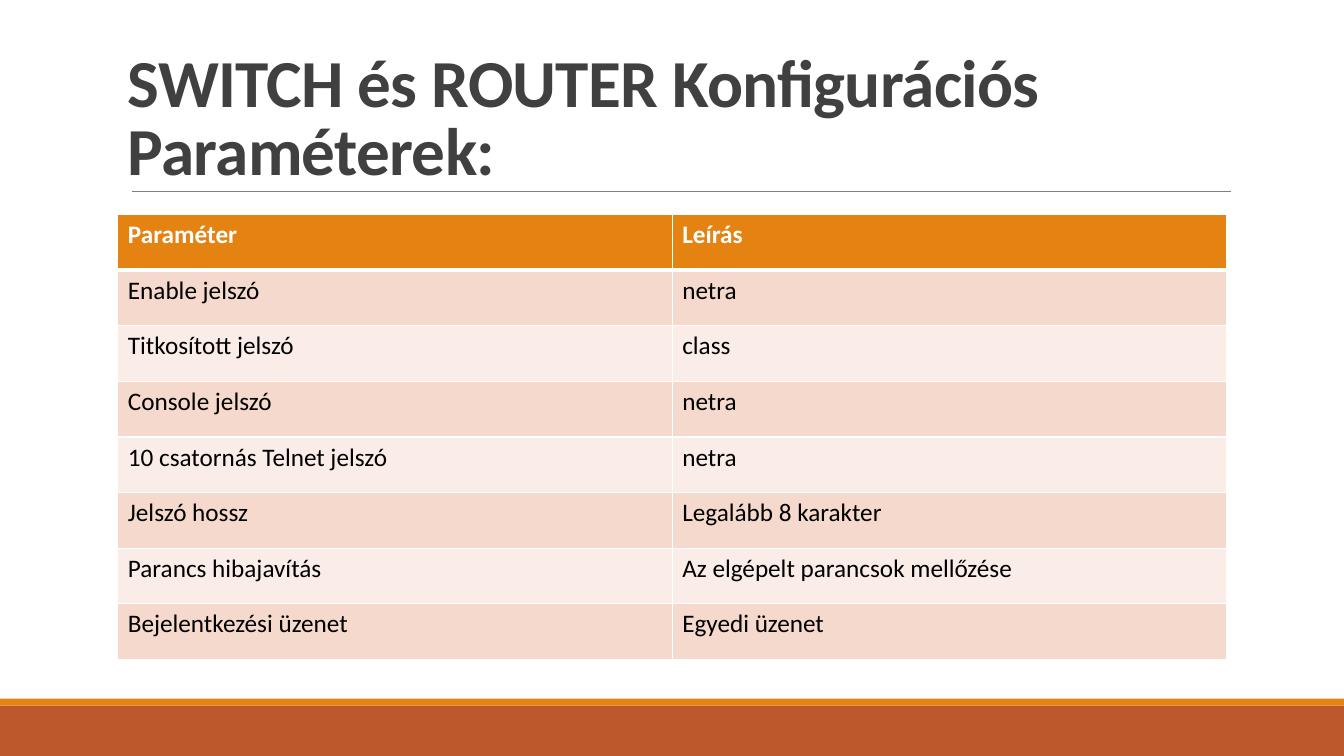
from lxml import etree
from pptx import Presentation
from pptx.dml.color import RGBColor
from pptx.enum.shapes import MSO_CONNECTOR, MSO_SHAPE
from pptx.enum.text import MSO_ANCHOR
from pptx.oxml.ns import qn
from pptx.util import Pt

RECT = MSO_SHAPE.RECTANGLE
STRAIGHT = MSO_CONNECTOR.STRAIGHT
BOTTOM = MSO_ANCHOR.BOTTOM

ROWS = [
    ("Paraméter", "Leírás"),
    ("Enable jelszó", "netra"),
    ("Titkosított jelszó", "class"),
    ("Console jelszó", "netra"),
    ("10 csatornás Telnet jelszó", "netra"),
    ("Jelszó hossz", "Legalább 8 karakter"),
    ("Parancs hibajavítás", "Az elgépelt parancsok mellőzése"),
    ("Bejelentkezési üzenet", "Egyedi üzenet"),
]


def rgb(value):
    return RGBColor.from_string(value)


class Deck:
    font = "Calibri"
    orange = "E48312"
    rust = "BD582C"
    white = "FFFFFF"
    black = "000000"
    dark = "404040"
    gray = "808080"
    bands = ("FAEDE7", "F5D9CC")

    def __init__(self, width, height):
        self.prs = Presentation()
        self.prs.slide_width = Pt(width)
        self.prs.slide_height = Pt(height)
        self.s = None

    def add_slide(self):
        self.s = self.prs.slides.add_slide(self.prs.slide_layouts[6])

    def bar(self, x, y, w, h, color):
        sp = self.s.shapes.add_shape(RECT, Pt(x), Pt(y), Pt(w), Pt(h))
        sp.shadow.inherit = False
        sp.fill.solid()
        sp.fill.fore_color.rgb = rgb(color)
        sp.line.fill.background()

    def rule(self, x1, x2, y, color, width):
        line = self.s.shapes.add_connector(STRAIGHT, Pt(x1), Pt(y), Pt(x2), Pt(y))
        line.line.color.rgb = rgb(color)
        line.line.width = Pt(width)
        etree.SubElement(line._element.spPr, qn("a:effectLst"))

    def style(self, p, size, color, bold):
        for r in p.runs:
            r.font.name = self.font
            r.font.size = Pt(size)
            r.font.bold = bold
            r.font.color.rgb = rgb(color)

    def title(self, text, x, y, w, h):
        tf = self.s.shapes.add_textbox(Pt(x), Pt(y), Pt(w), Pt(h)).text_frame
        tf.word_wrap = True
        tf.vertical_anchor = BOTTOM
        tf.text = text
        p = tf.paragraphs[0]
        p.line_spacing = 0.85
        self.style(p, 48, self.dark, True)
        p.runs[0]._r.get_or_add_rPr().set("spc", "-50")

    def borders(self, cell, bottom):
        tc_pr = cell._tc.get_or_add_tcPr()
        widths = {"L": 1, "R": 1, "T": 1, "B": bottom}
        for i, (side, width) in enumerate(widths.items()):
            ln = etree.Element(qn("a:ln" + side), w=str(Pt(width)))
            fill = etree.SubElement(ln, qn("a:solidFill"))
            etree.SubElement(fill, qn("a:srgbClr"), val=self.white)
            tc_pr.insert(i, ln)

    def table(self, rows, x, y, w, h):
        shape = self.s.shapes.add_table(
            len(rows), len(rows[0]), Pt(x), Pt(y), Pt(w), Pt(h))
        for i, row in enumerate(rows):
            header = i == 0
            for j, text in enumerate(row):
                cell = shape.table.cell(i, j)
                cell.text = text
                cell.fill.solid()
                cell.fill.fore_color.rgb = rgb(self.orange if header else self.bands[i % 2])
                self.style(cell.text_frame.paragraphs[0], 18,
                           self.white if header else self.black, header)
                self.borders(cell, 3 if header else 1)

    def save(self):
        self.prs.save("out.pptx")


def main():
    deck = Deck(960, 540)
    deck.add_slide()
    deck.bar(0, 504, 960, 36, deck.rust)
    deck.bar(0, 499, 960, 5, deck.orange)
    deck.rule(94.3, 879, 136.8, deck.gray, 0.5)
    deck.title("SWITCH és ROUTER Konfigurációs Paraméterek:", 84.2, 24.5, 792, 114.5)
    deck.table(ROWS, 84.2, 153.4, 792, 317.5)
    deck.save()


if __name__ == "__main__":
    main()
